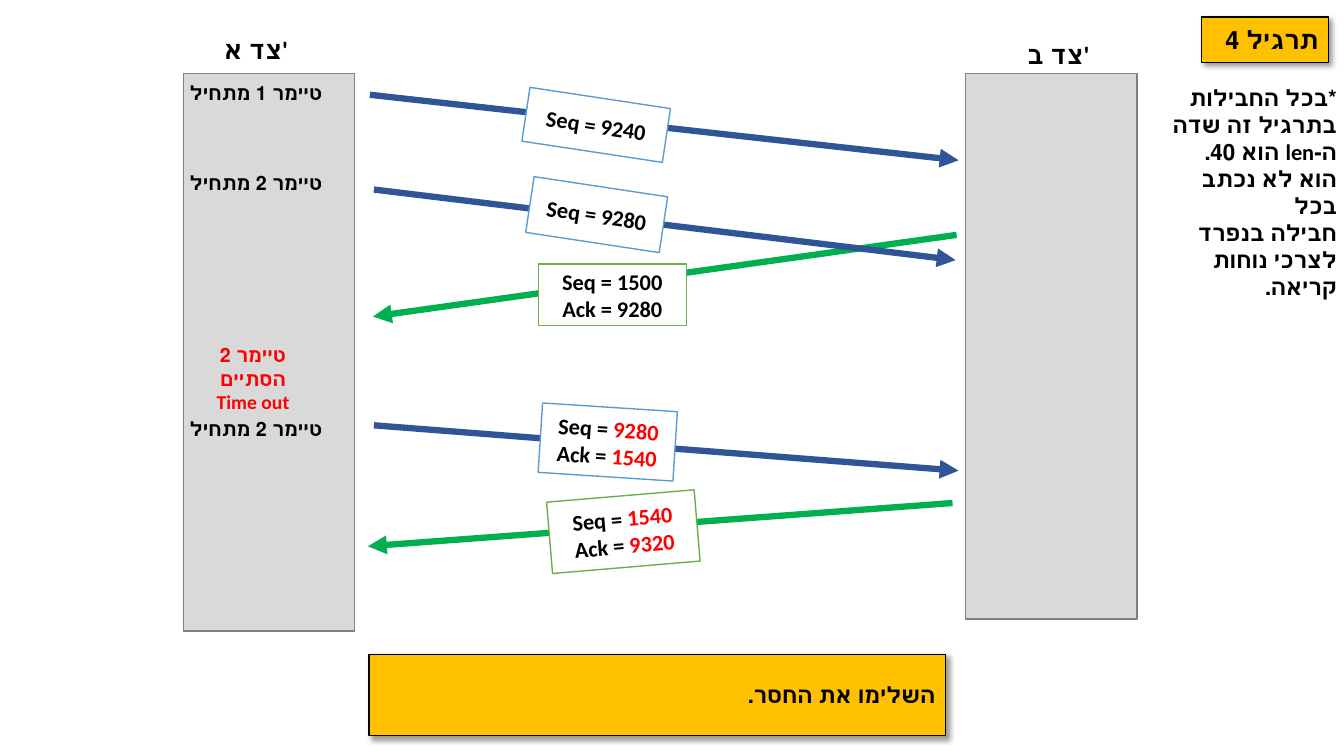
from lxml.etree import SubElement
from pptx import Presentation
from pptx.dml.color import RGBColor
from pptx.enum.shapes import MSO_CONNECTOR, MSO_SHAPE
from pptx.enum.text import MSO_ANCHOR, PP_ALIGN
from pptx.oxml import parse_xml
from pptx.oxml.ns import nsdecls, qn
from pptx.util import Pt

COLORS = {
    "black": "000000", "white": "FFFFFF", "red": "FF0000", "amber": "FFC000",
    "bar": "D9D9D9", "bar_edge": "808080",
    "request": "2F5597", "request_edge": "5B9BD5",
    "reply": "00B050", "reply_edge": "70AD47",
}
CALLOUTS = [
    ("השלימו את החסר.", (263.5, 467.3, 411.8, 58.3), 16),
    ("תרגיל 4", (858.2, 12.2, 90.7, 32.4), 18),
]
NOTE = [
    "*בכל החבילות", "בתרגיל זה שדה", "ה-len הוא 40.",
    "הוא לא נכתב בכל", "חבילה בנפרד", "לצרכי נוחות קריאה.",
]
NOTE_AREA = (819.4, 56.9, 142.6, 123.8)
SIDES = [
    ("צד א'", (126.7, 22.3), (131, 52.6, 122.4, 398.2)),
    ("צד ב'", (699.8, 25.9), (689.8, 52.6, 122.4, 389.5)),
]
LABEL_SIZE = (112.3, 26.6)
TIMERS = [("טיימר 1 מתחיל", 52.6), ("טיימר 2 מתחיל", 117.4), ("טיימר 2 מתחיל", 293)]
TIMER_LEFT = 126.7
TIMEOUT = ["טיימר 2 הסתיים", "Time out"]
TIMEOUT_AT = (124.6, 257)
PACKETS = [
    ("request", (264.2, 67.7), (684.7, 114.5), (375.1, 69.8, 101.5, 38.9), 8.6,
     [("Seq = 9240", "")]),
    ("reply", (683.3, 167.8), (266.4, 226.1), (384.5, 188.6, 105.8, 43.9), 0,
     [("Seq = 1500", ""), ("Ack = 9280", "")]),
    ("request", (267.1, 135.4), (682.6, 185.8), (378, 133.2, 96.5, 40.3), 8.6,
     [("Seq = 9280", "")]),
    ("request", (267.1, 303.8), (684.7, 336.2), (385.9, 290.9, 96.5, 49.7), 3.7,
     [("Seq = ", "9280"), ("Ack = ", "1540")]),
    ("reply", (680.4, 359.3), (262.8, 390.2), (392.4, 354.2, 105.8, 51.1), -4.8,
     [("Seq = ", "1540"), ("Ack = ", "9320")]),
]

presentation = Presentation()
presentation.slide_width, presentation.slide_height = Pt(960), Pt(540)
slide = presentation.slides.add_slide(presentation.slide_layouts[6])


def color(name):
    return RGBColor.from_string(COLORS[name])


def add_box(area, fill, edge=None, rotation=0):
    box = slide.shapes.add_shape(MSO_SHAPE.RECTANGLE, *map(Pt, area))
    box.shadow.inherit = False
    box.fill.solid()
    box.fill.fore_color.rgb = color(fill)
    if edge:
        box.line.color.rgb = color(edge)
        box.line.width = Pt(1)
    else:
        box.line.fill.background()
    box.rotation = rotation
    return box


def write(shape, paragraphs, size=16, ink="black", align=PP_ALIGN.CENTER,
          anchor=MSO_ANCHOR.MIDDLE, rtl=False):
    frame = shape.text_frame
    frame.word_wrap = True
    frame.vertical_anchor = anchor
    for number, lines in enumerate(paragraphs):
        paragraph = frame.add_paragraph() if number else frame.paragraphs[0]
        paragraph.alignment = align
        if rtl:
            paragraph._p.get_or_add_pPr().set("rtl", "1")
        for position, (plain, answer) in enumerate(lines):
            if position:
                paragraph.add_line_break()
            for words, shade in ((plain, ink), (answer, "red")):
                if words:
                    run = paragraph.add_run()
                    run.text = words
                    run.font.name = "Calibri"
                    run.font.size = Pt(size)
                    run.font.bold = True
                    run.font.color.rgb = color(shade)


def add_shadow(shape):
    effects = shape._element.spPr.find(qn("a:effectLst"))
    effects.append(parse_xml(
        f'<a:outerShdw {nsdecls("a")} blurRad="{Pt(4)}" dist="{Pt(3)}" '
        f'dir="2700000" algn="tl" rotWithShape="0"><a:srgbClr val="{COLORS["black"]}">'
        '<a:alpha val="40000"/></a:srgbClr></a:outerShdw>'))


def add_arrow(start, end, ink):
    arrow = slide.shapes.add_connector(MSO_CONNECTOR.STRAIGHT, *map(Pt, start + end))
    arrow.line.color.rgb = color(ink)
    arrow.line.width = Pt(4.5)
    SubElement(arrow.line._get_or_add_ln(), qn("a:tailEnd"), type="triangle")
    SubElement(arrow._element.spPr, qn("a:effectLst"))


def add_text(area):
    return slide.shapes.add_textbox(*map(Pt, area))


for words, area, size in CALLOUTS:
    callout = add_box(area, "amber", "black")
    add_shadow(callout)
    write(callout, [[(words, "")]], size=size, align=PP_ALIGN.RIGHT, rtl=True)

write(add_text(NOTE_AREA), [[(line, "")] for line in NOTE],
      align=PP_ALIGN.RIGHT, anchor=MSO_ANCHOR.TOP, rtl=True)

for side, corner, bar in SIDES:
    write(add_box(corner + LABEL_SIZE, "white"), [[(side, "")]], size=18)
    add_box(bar, "bar", "bar_edge")

for timer, top in TIMERS:
    write(add_text((TIMER_LEFT, top) + LABEL_SIZE), [[(timer, "")]], size=14, rtl=True)
write(add_text(TIMEOUT_AT + LABEL_SIZE), [[(line, "") for line in TIMEOUT]],
      size=14, ink="red")

for direction, start, end, area, tilt, fields in PACKETS:
    add_arrow(start, end, direction)
    write(add_box(area, "white", f"{direction}_edge", tilt), [fields])

presentation.save("out.pptx")
